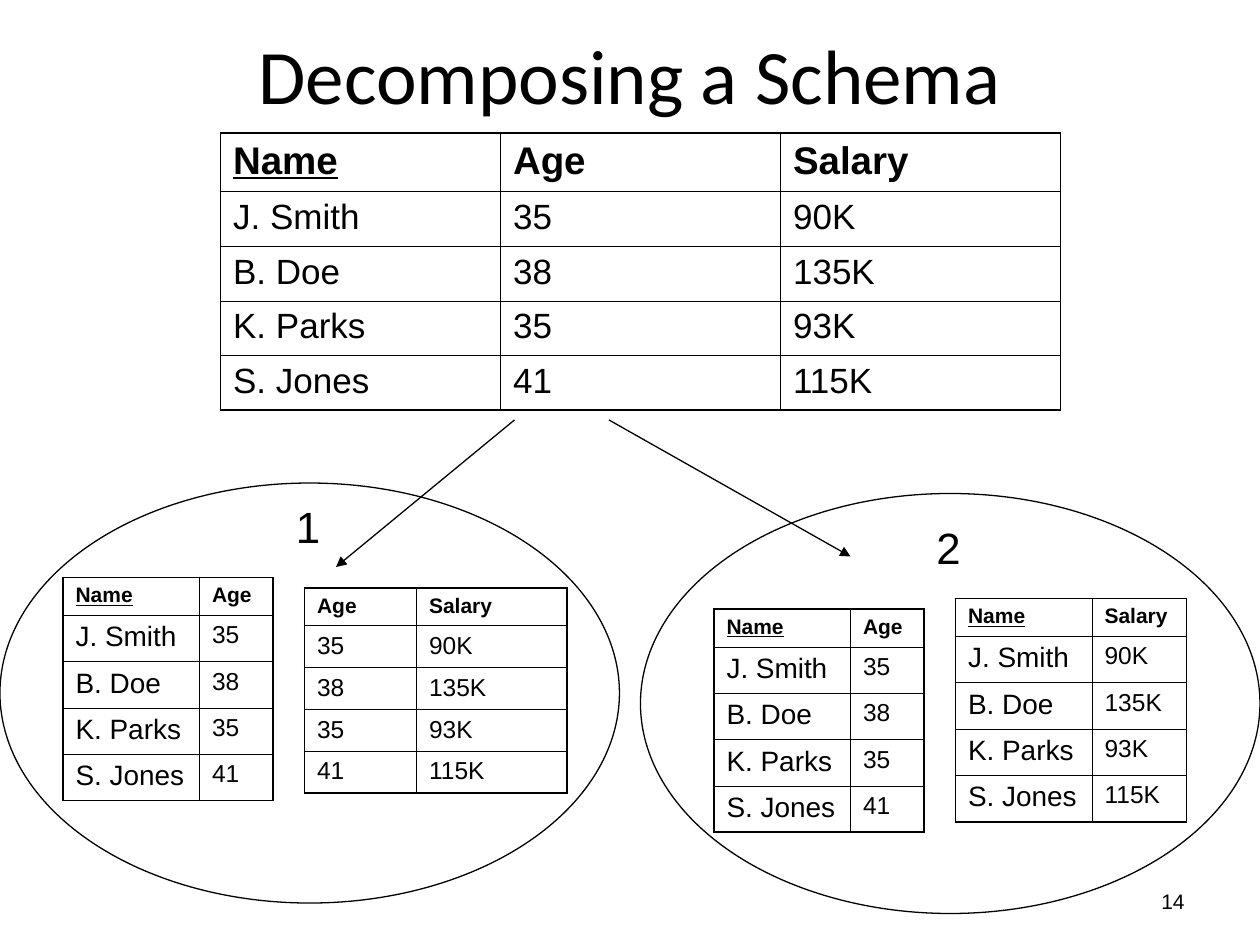
from pptx import Presentation
from pptx.dml.color import RGBColor
from pptx.enum.shapes import MSO_CONNECTOR as Link, MSO_SHAPE as Form
from pptx.enum.text import MSO_ANCHOR as Anchor, MSO_AUTO_SIZE as Fit, PP_ALIGN as Align
from pptx.oxml.ns import qn
from pptx.util import Pt
from lxml.etree import SubElement as Sub

BLACK = RGBColor(0, 0, 0)

STAFF = [
    {"Name": "J. Smith", "Age": "35", "Salary": "90K"},
    {"Name": "B. Doe", "Age": "38", "Salary": "135K"},
    {"Name": "K. Parks", "Age": "35", "Salary": "93K"},
    {"Name": "S. Jones", "Age": "41", "Salary": "115K"},
]


class Page:
    font = "Arial"
    thick, thin, line = 1.08, 0.45, 0.75

    def __init__(self, deck):
        self.slide = deck.slides.add_slide(deck.slide_layouts[5])
        self.shapes = self.slide.shapes

    def put(self, item, vals):
        for key, val in vals.items():
            setattr(item, key, val)

    def text(self, frame, words, size, align=Align.LEFT, **vals):
        para = frame.paragraphs[0]
        para.text = words
        para.alignment = align
        font = para.runs[0].font
        self.put(font, {"name": self.font, "size": Pt(size), **vals})
        font.color.rgb = BLACK

    def title(self, words, box):
        head = self.shapes.title
        self.put(head, dict(zip(("left", "top", "width", "height"), map(Pt, box))))
        head.text_frame.vertical_anchor = Anchor.MIDDLE
        self.text(head.text_frame, words, 44, Align.CENTER, name="Calibri")

    def label(self, words, box, size, align=Align.LEFT, **vals):
        frame = self.shapes.add_textbox(*map(Pt, box)).text_frame
        self.put(frame, {"word_wrap": True, **vals})
        self.text(frame, words, size, align)

    def stroke(self, line):
        line.color.rgb = BLACK
        line.width = Pt(self.line)

    def ring(self, *box):
        oval = self.shapes.add_shape(Form.OVAL, *map(Pt, box))
        oval.shadow.inherit = False
        oval.fill.background()
        self.stroke(oval.line)

    def arrow(self, *ends):
        link = self.shapes.add_connector(Link.STRAIGHT, *map(Pt, ends))
        self.stroke(link.line)
        props = link._element.spPr
        Sub(props.find(qn("a:ln")), qn("a:tailEnd"), type="triangle")
        Sub(props, qn("a:effectLst"))

    def edge(self, cell, side, outer):
        width = Pt(self.thick if outer else self.thin)
        line = Sub(cell._tc.get_or_add_tcPr(), qn("a:ln" + side), w=str(int(width)))
        fill = Sub(line, qn("a:solidFill"))
        Sub(fill, qn("a:srgbClr"), val=str(BLACK))

    def table(self, left, top, cols, high, sizes):
        head, key, body = sizes
        rows = [{name: name for name in cols}] + STAFF
        tall = [high[0]] + [high[1]] * len(STAFF)
        wide = list(cols.values())
        box = (left, top, sum(wide), sum(tall))
        grid = self.shapes.add_table(len(rows), len(cols), *map(Pt, box)).table
        self.put(grid, {"first_row": False, "horz_banding": False})
        for col, width in zip(grid.columns, wide):
            col.width = Pt(width)
        for r, row in enumerate(rows):
            grid.rows[r].height = Pt(tall[r])
            for c, name in enumerate(cols):
                cell = grid.cell(r, c)
                first, named = r == 0, name == "Name"
                size = head if first else key if named else body
                self.text(cell.text_frame, row[name], size,
                          bold=first, underline=first and named)
                sides = {"L": c == 0, "R": c == len(cols) - 1,
                         "T": first, "B": r == len(rows) - 1}
                for side, outer in sides.items():
                    self.edge(cell, side, outer)
                cell.fill.background()


def main():
    deck = Presentation()
    deck.slide_width, deck.slide_height = Pt(720), Pt(540)
    page = Page(deck)
    small = (12, 16, 14)
    tall, low = (21.6, 26.5), (21.6, 23.95)
    ages = {"Name": 78, "Age": 42}

    page.title("Decomposing a Schema", (36, 6, 648, 72))
    page.table(126, 76, {"Name": 160, "Age": 160, "Salary": 160},
               (33.6, 31.2), (22, 20, 20))
    page.arrow(294, 240, 192, 324)
    page.arrow(348, 240, 486, 318)
    page.table(36, 330, ages, tall, small)
    page.table(174, 336, {"Age": 64, "Salary": 86}, low, small)
    page.ring(0, 276, 354, 240)
    page.ring(366, 282, 354, 240)
    for words, left, top in (("1", 162, 282), ("2", 528, 294)):
        page.label(words, (left, top, 48, 37.4), 25, auto_size=Fit.SHAPE_TO_FIT_TEXT)
    page.label("14", (516, 500.4, 168, 28.8), 12, Align.RIGHT,
               vertical_anchor=Anchor.MIDDLE)
    page.table(408, 348, ages, tall, small)
    page.table(546, 342, {"Name": 78, "Salary": 54}, tall, small)
    deck.save("out.pptx")


if __name__ == "__main__":
    main()
